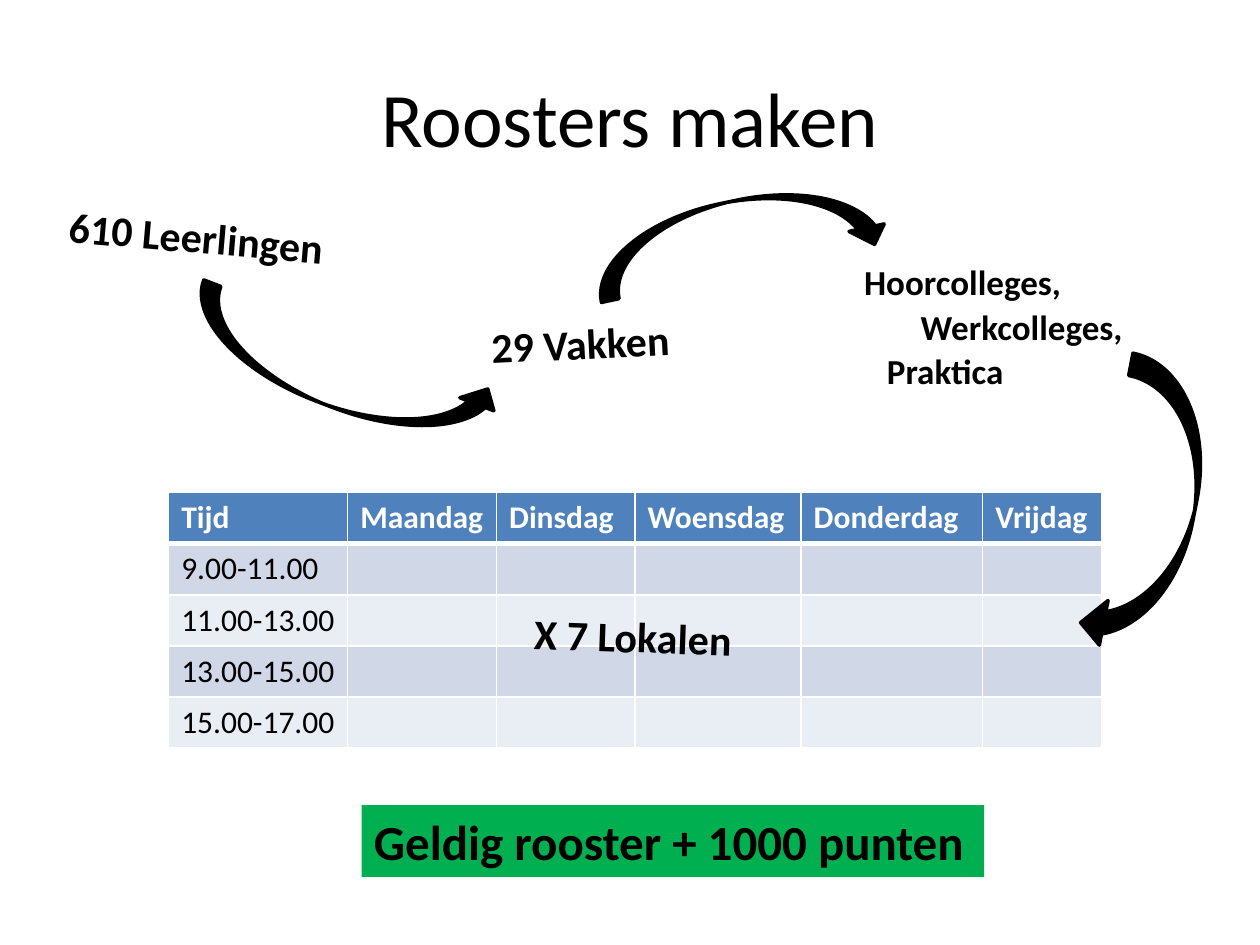
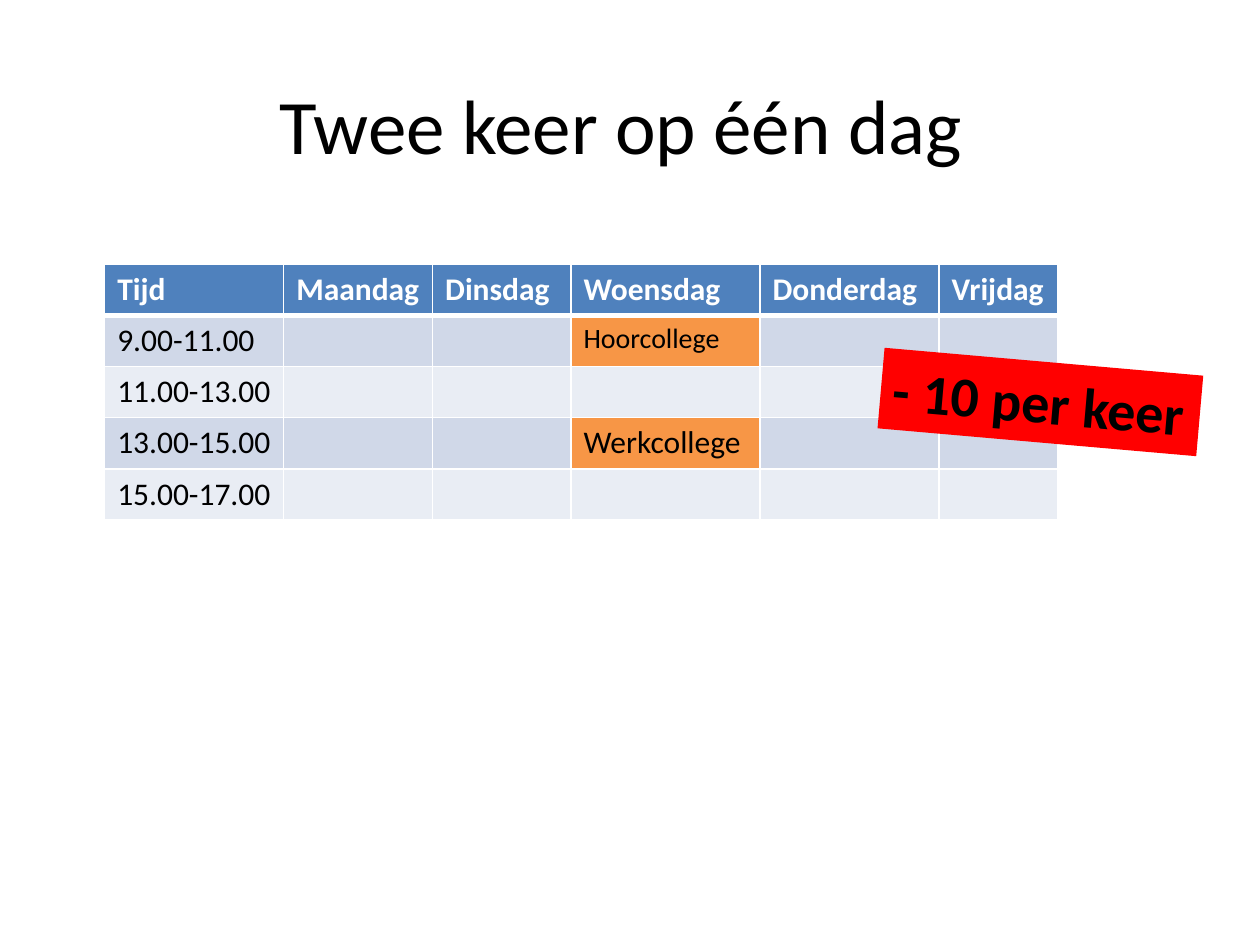
from lxml.etree import SubElement
from pptx import Presentation
from pptx.dml.color import RGBColor
from pptx.enum.shapes import MSO_SHAPE as Preset
from pptx.enum.text import MSO_ANCHOR as Anchor, MSO_AUTO_SIZE as AutoSize, PP_ALIGN as Align
from pptx.oxml.ns import qn
from pptx.util import Cm, Pt

BLACK = RGBColor(0x00, 0x00, 0x00)
WHITE = RGBColor(0xFF, 0xFF, 0xFF)
HEADER_BLUE = RGBColor(0x4F, 0x81, 0xBD)
BAND_DARK = RGBColor(0xD0, 0xD8, 0xE8)
BAND_LIGHT = RGBColor(0xE9, 0xED, 0xF4)
LESSON_ORANGE = RGBColor(0xF7, 0x96, 0x46)
BONUS_GREEN = RGBColor(0x00, 0xB0, 0x50)
PENALTY_RED = RGBColor(0xFF, 0x00, 0x00)

DAYS = ["Tijd", "Maandag", "Dinsdag", "Woensdag", "Donderdag", "Vrijdag"]
TIMES = ["9.00-11.00", "11.00-13.00", "13.00-15.00", "15.00-17.00"]
WEDNESDAY = DAYS.index("Woensdag")
ROW_HEIGHT = 1.03


class Deck:
    font = "Calibri"

    def __init__(self):
        self.prs = Presentation()
        self.prs.slide_width, self.prs.slide_height = Cm(25.4), Cm(19.05)
        self.slide = None

    def style(self, frame, size, color=BLACK, bold=False):
        for paragraph in frame.paragraphs:
            for run in paragraph.runs:
                font = run.font
                font.name, font.size, font.bold = self.font, Pt(size), bold
                font.color.rgb = color

    def new_slide(self, title, left, top):
        self.slide = self.prs.slides.add_slide(self.prs.slide_layouts[5])
        heading = self.slide.shapes.title
        heading.left, heading.top = Cm(left), Cm(top)
        heading.width, heading.height = Cm(22.86), Cm(3.18)
        frame = heading.text_frame
        frame.text = title
        frame.vertical_anchor = Anchor.MIDDLE
        frame.paragraphs[0].alignment = Align.CENTER
        self.style(frame, 44)

    def label(self, text, left, top, width, height=1.27, size=24, rotation=0, fill=None):
        box = self.slide.shapes.add_textbox(Cm(left), Cm(top), Cm(width), Cm(height))
        box.rotation = rotation
        if fill is not None:
            box.fill.solid()
            box.fill.fore_color.rgb = fill
        frame = box.text_frame
        frame.text = text
        frame.word_wrap = False
        frame.auto_size = AutoSize.SHAPE_TO_FIT_TEXT
        self.style(frame, size, bold=True)

    def curved_arrow(self, preset, left, top, width, height, rotation):
        arrow = self.slide.shapes.add_shape(preset, Cm(left), Cm(top), Cm(width), Cm(height))
        arrow.rotation = rotation
        arrow.shadow.inherit = False
        arrow.fill.solid()
        arrow.fill.fore_color.rgb = BLACK
        arrow.line.color.rgb = BLACK
        arrow.line.width = Pt(2)

    def cell_borders(self, cell, top=1, bottom=1):
        properties = cell._tc.get_or_add_tcPr()
        for side, points in (("L", 1), ("R", 1), ("T", top), ("B", bottom)):
            line = SubElement(properties, qn(f"a:ln{side}"), w=str(Pt(points)))
            fill = SubElement(line, qn("a:solidFill"))
            SubElement(fill, qn("a:srgbClr"), val=str(WHITE))

    def timetable(self, left, top, column_widths, lessons=None):
        """Draw the week; lessons maps (row, column) to (text, size)."""
        lessons = lessons or {}
        rows = [DAYS] + [[time] + [""] * (len(DAYS) - 1) for time in TIMES]
        table = self.slide.shapes.add_table(
            len(rows), len(DAYS), Cm(left), Cm(top),
            Cm(sum(column_widths)), Cm(ROW_HEIGHT * len(rows))).table
        for column, width in zip(table.columns, column_widths):
            column.width = Cm(width)
        for r, texts in enumerate(rows):
            table.rows[r].height = Cm(ROW_HEIGHT)
            is_header = r == 0
            band = HEADER_BLUE if is_header else BAND_DARK if r % 2 else BAND_LIGHT
            for c, text in enumerate(texts):
                cell = table.cell(r, c)
                lesson = lessons.get((r, c))
                cell.text, size = lesson or (text, 18)
                self.cell_borders(cell, top=3 if r == 1 else 1, bottom=3 if is_header else 1)
                cell.fill.solid()
                cell.fill.fore_color.rgb = LESSON_ORANGE if lesson else band
                self.style(cell.text_frame, size, WHITE if is_header else BLACK, is_header)


def build_scheduling(deck):
    deck.new_slide("Roosters maken", 1.27, 0.76)
    deck.timetable(3.4, 9.93, [3.61, 3, 2.79, 3.35, 3.66, 2.39])
    deck.label("610 Leerlingen", 1.14, 4.14, 5.69, rotation=5)
    deck.label("29 Vakken", 9.65, 6.27, 4.14, rotation=357)
    deck.label("X 7 Lokalen", 10.52, 12.19, 4.55, rotation=2)
    deck.label("Geldig rooster + 1000 punten", 7.29, 16.23, 12.55, 1.45, 28, fill=BONUS_GREEN)
    lesson_types = [("Hoorcolleges,", 17.17, 4.52), ("Werkcolleges,", 18.31, 4.62),
                    ("Praktica", 17.63, 2.9)]
    for i, (lesson_type, left, width) in enumerate(lesson_types):
        deck.label(lesson_type, left, 5.13 + 0.9 * i, width, 1.12, 20)
    deck.curved_arrow(Preset.CURVED_UP_ARROW, 3.63, 6.76, 6.5, 1.47, 21)
    deck.curved_arrow(Preset.CURVED_DOWN_ARROW, 11.91, 4.04, 5.99, 1.45, 348)
    deck.curved_arrow(Preset.CURVED_DOWN_ARROW, 20.17, 9.32, 5.99, 1.83, 101)


def build_same_day(deck):
    deck.new_slide("Twee keer op één dag", 1.09, 0.91)
    deck.timetable(2.11, 5.33, [3.61, 3, 2.79, 3.81, 3.61, 2.39],
                   {(1, WEDNESDAY): ("Hoorcollege", 16), (3, WEDNESDAY): ("Werkcollege", 18)})
    deck.label("- 10 per keer", 17.75, 7.29, 6.45, 1.63, 32, rotation=5, fill=PENALTY_RED)


def main():
    deck = Deck()
    build_scheduling(deck)
    build_same_day(deck)
    deck.prs.save("out.pptx")


if __name__ == "__main__":
    main()
